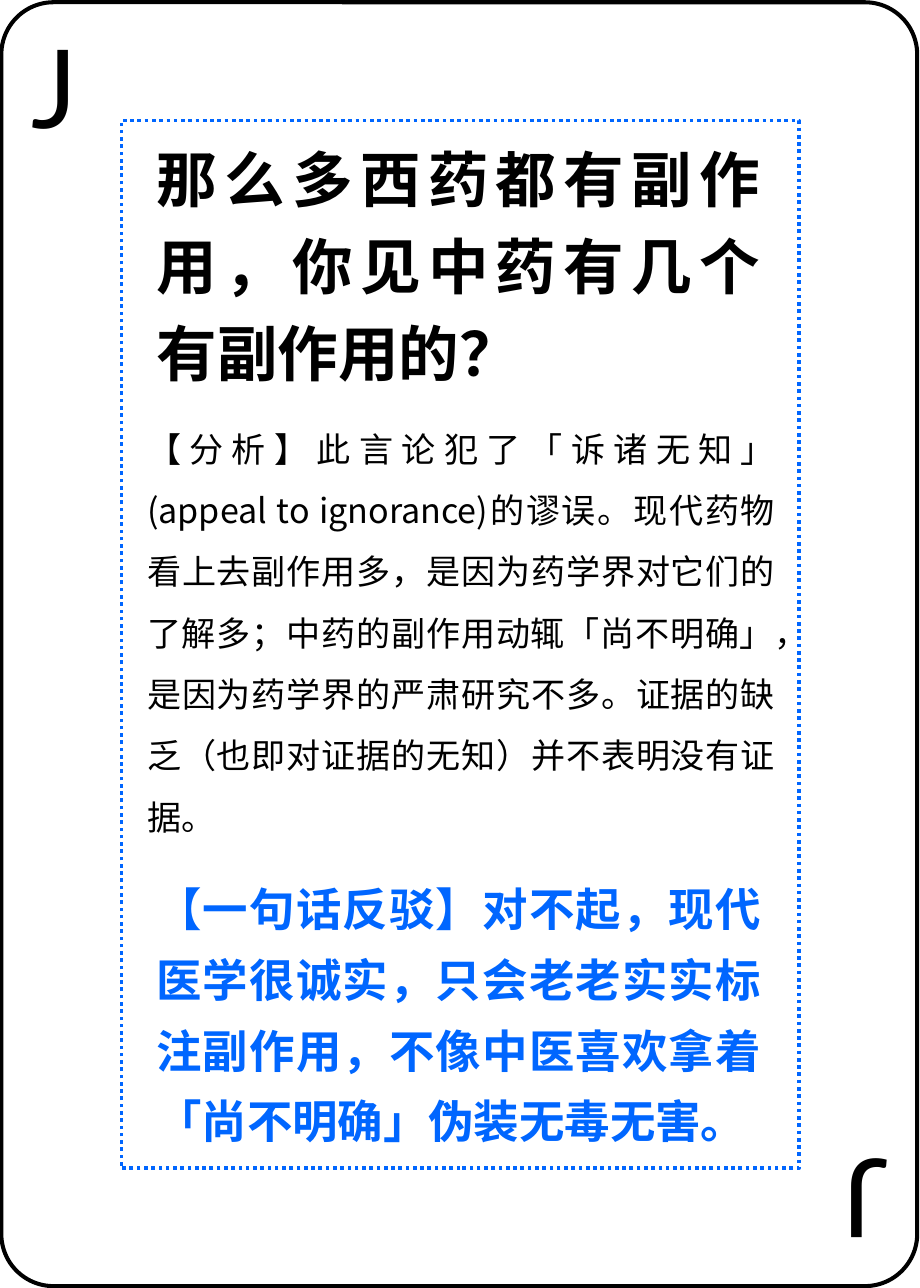
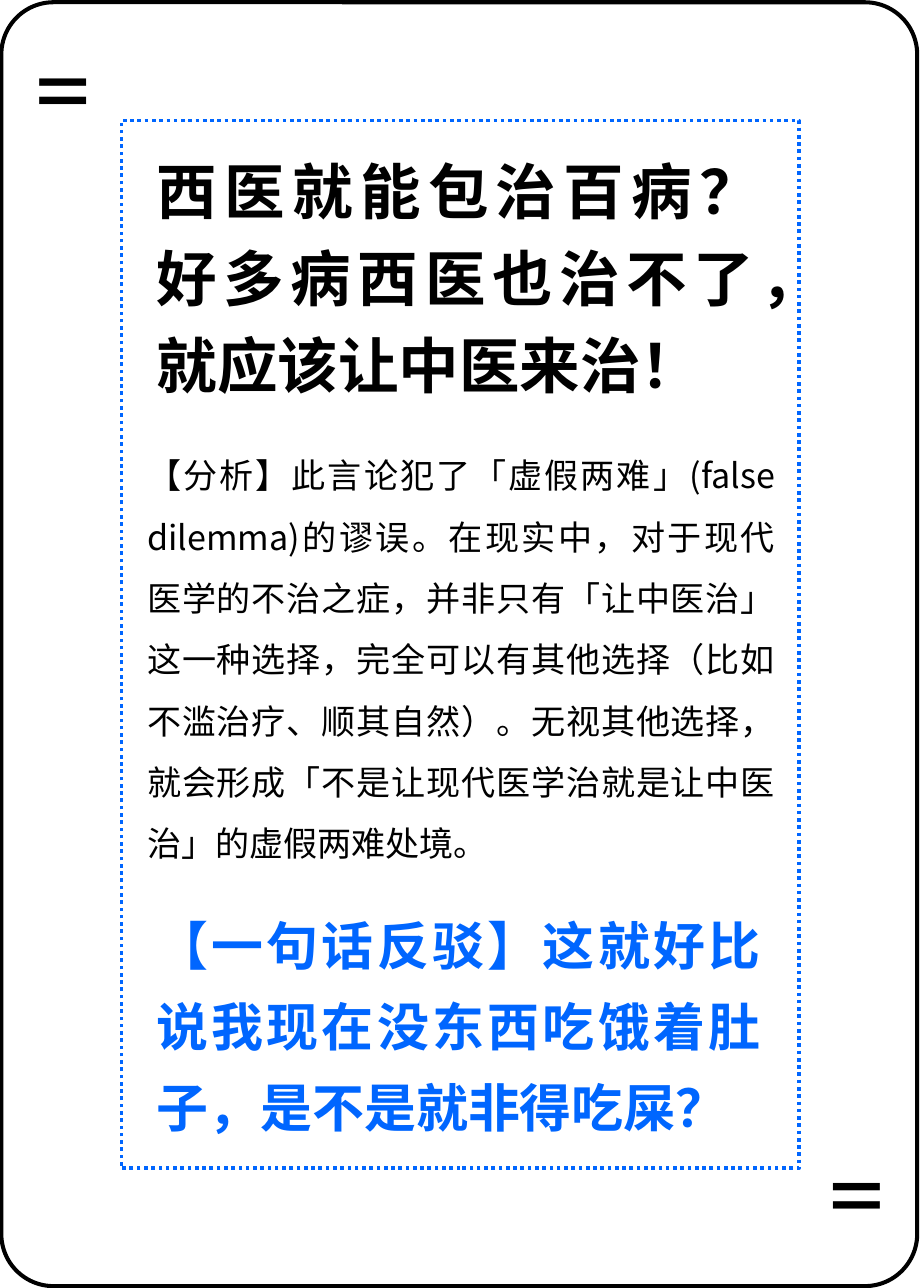
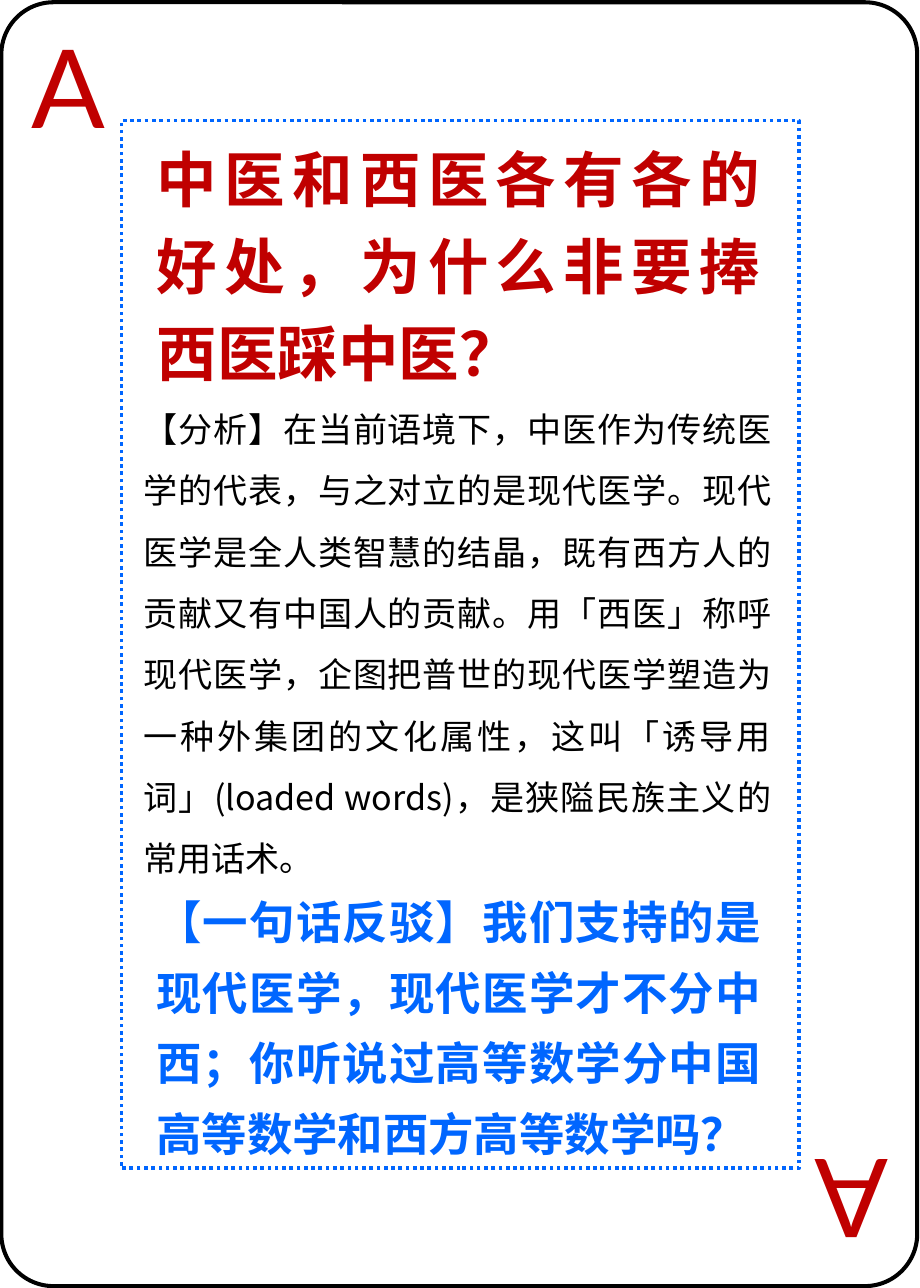
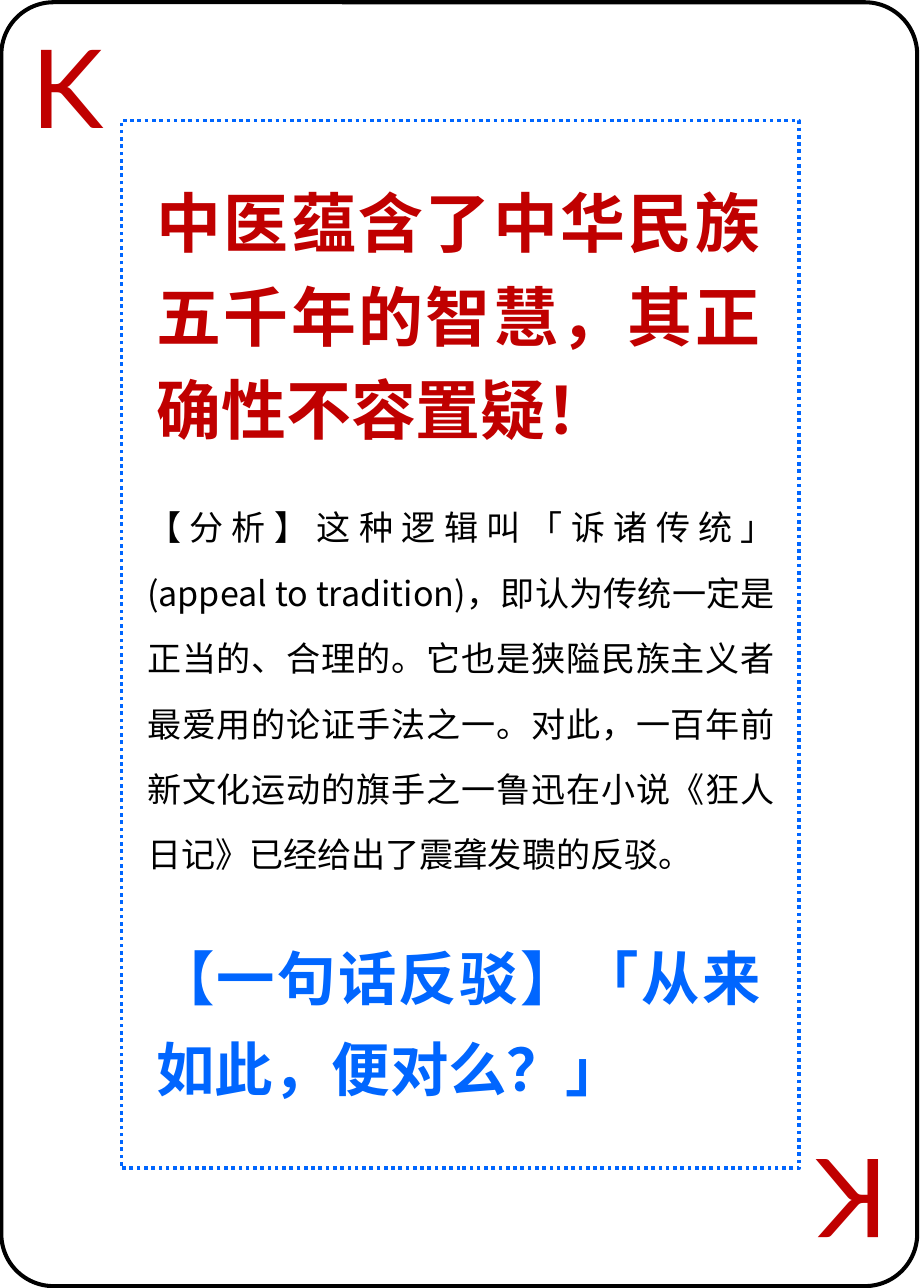
import pptx
import pptx.util
import pptx.dml.color
import pptx.enum.dml
import pptx.enum.lang
import pptx.enum.shapes
import pptx.enum.text
import pptx.oxml.ns
import lxml.etree

Cm = pptx.util.Cm
Pt = pptx.util.Pt
Form = pptx.enum.shapes.MSO_SHAPE
Align = pptx.enum.text.PP_ALIGN

BLACK, RED, BLUE = "000000", "C00000", "0066FF"
HAN = "Noto Sans CJK SC"
WIDE, HIGH = 20, 28
MARK_X, MARK_Y, MARK_W, MARK_H = 0.43, 0.3, 1.93, 3.12
HEAD_X, HEAD_W = 3.15, 13.64
NOTE_W = 14.15


def hue(code):
    return pptx.dml.color.RGBColor.from_string(code)


def write(shape, text, box, size, color=BLACK, font=HAN, bold=False, align=Align.JUSTIFY, gap=1.0):
    shape.left, shape.top, shape.width, shape.height = [Cm(n) for n in box]
    frame = shape.text_frame
    frame.word_wrap = True
    frame.auto_size = pptx.enum.text.MSO_AUTO_SIZE.NONE
    frame.vertical_anchor = pptx.enum.text.MSO_ANCHOR.TOP
    par = frame.paragraphs[0]
    par.alignment = align
    par.line_spacing = gap
    run = par.add_run()
    run.text = text
    face = run.font
    face.size = Pt(size)
    face.bold = bold
    face.name = font
    face.color.rgb = hue(color)
    face.language_id = pptx.enum.lang.MSO_LANGUAGE_ID.SIMPLIFIED_CHINESE
    east = lxml.etree.SubElement(run._r.get_or_add_rPr(), pptx.oxml.ns.qn("a:ea"))
    east.set("typeface", font)


cards = [
    dict(
        mark="J", color=BLACK,
        claim="那么多西药都有副作用，你见中药有几个有副作用的？",
        head=(2.64, 5.84, 37.3),
        note="【分析】此言论犯了「诉诸无知」(appeal to ignorance)的谬误。现代药物看上去副作用多，是因为药学界对它们的了解多；中药的副作用动辄「尚不明确」，是因为药学界的严肃研究不多。证据的缺乏（也即对证据的无知）并不表明没有证据。",
        body=(2.95, 8.74, 9.53, 1.5),
        reply="【一句话反驳】对不起，现代医学很诚实，只会老老实实标注副作用，不像中医喜欢拿着「尚不明确」伪装无毒无害。",
        foot=(18.67, 6.32, 28),
    ),
    dict(
        mark="=", color=BLACK,
        claim="西医就能包治百病？好多病西医也治不了，就应该让中医来治！",
        head=(2.9, 5.84, 37.3),
        note="【分析】此言论犯了「虚假两难」(false dilemma)的谬误。在现实中，对于现代医学的不治之症，并非只有「让中医治」这一种选择，完全可以有其他选择（比如不滥治疗、顺其自然）。无视其他选择，就会形成「不是让现代医学治就是让中医治」的虚假两难处境。",
        body=(2.95, 9.32, 9.53, 1.5),
        reply="【一句话反驳】这就好比说我现在没东西吃饿着肚子，是不是就非得吃屎？",
        foot=(19.33, 5.41, 32),
    ),
    dict(
        mark="A", color=RED,
        claim="中医和西医各有各的好处，为什么非要捧西医踩中医？",
        head=(2.64, 5.84, 37.3),
        note="【分析】在当前语境下，中医作为传统医学的代表，与之对立的是现代医学。现代医学是全人类智慧的结晶，既有西方人的贡献又有中国人的贡献。用「西医」称呼现代医学，企图把普世的现代医学塑造为一种外集团的文化属性，这叫「诱导用词」(loaded words)，是狭隘民族主义的常用话术。",
        body=(2.87, 8.31, 10.87, 1.5),
        reply="【一句话反驳】我们支持的是现代医学，现代医学才不分中西；你听说过高等数学分中国高等数学和西方高等数学吗？",
        foot=(18.95, 6.32, 28),
    ),
    dict(
        mark="K", color=RED,
        claim="中医蕴含了中华民族五千年的智慧，其正确性不容置疑！",
        head=(3.51, 6.25, 40),
        note="【分析】这种逻辑叫「诉诸传统」(appeal to tradition)，即认为传统一定是正当的、合理的。它也是狭隘民族主义者最爱用的论证手法之一。对此，一百年前新文化运动的旗手之一鲁迅在小说《狂人日记》已经给出了震聋发聩的反驳。",
        body=(2.95, 10.36, 8.69, 1.6),
        reply="【一句话反驳】「从来如此，便对么？」",
        foot=(19.89, 4.06, 36),
    ),
]

marks = [
    (MARK_X, MARK_Y, 0),
    (WIDE - MARK_X - MARK_W, HIGH - MARK_Y - MARK_H, 180),
]
rims = [
    (Form.RECTANGLE, (2.64, 2.62, 14.73, 22.78), BLUE, 2.25, pptx.enum.dml.MSO_LINE.ROUND_DOT),
    (Form.ROUNDED_RECTANGLE, (0.03, 0.05, 19.91, 27.91), BLACK, 2.5, pptx.enum.dml.MSO_LINE.SOLID),
]

deck = pptx.Presentation()
deck.slide_width, deck.slide_height = Cm(WIDE), Cm(HIGH)

for card in cards:
    slide = deck.slides.add_slide(deck.slide_layouts[5])
    shapes = slide.shapes

    top, high, size = card["head"]
    write(shapes.title, card["claim"], (HEAD_X, top, HEAD_W, high), size,
          color=card["color"], bold=True, gap=1.2)

    for left, top, turn in marks:
        mark = shapes.add_textbox(0, 0, 0, 0)
        write(mark, card["mark"], (left, top, MARK_W, MARK_H), 67.2,
              color=card["color"], font="Lato", align=Align.LEFT)
        mark.rotation = turn

    left, top, high, gap = card["body"]
    write(shapes.add_textbox(0, 0, 0, 0), card["note"], (left, top, NOTE_W, high), 21, gap=gap)

    top, high, size = card["foot"]
    write(shapes.add_textbox(0, 0, 0, 0), card["reply"], (HEAD_X, top, HEAD_W, high), size,
          color=BLUE, bold=True, gap=1.3)

    for form, box, color, width, dash in rims:
        rim = shapes.add_shape(form, *[Cm(n) for n in box])
        rim.shadow.inherit = False
        rim.fill.background()
        rim.line.color.rgb = hue(color)
        rim.line.width = Pt(width)
        rim.line.dash_style = dash
        if form == Form.ROUNDED_RECTANGLE:
            rim.adjustments[0] = 0.057

deck.save("out.pptx")
